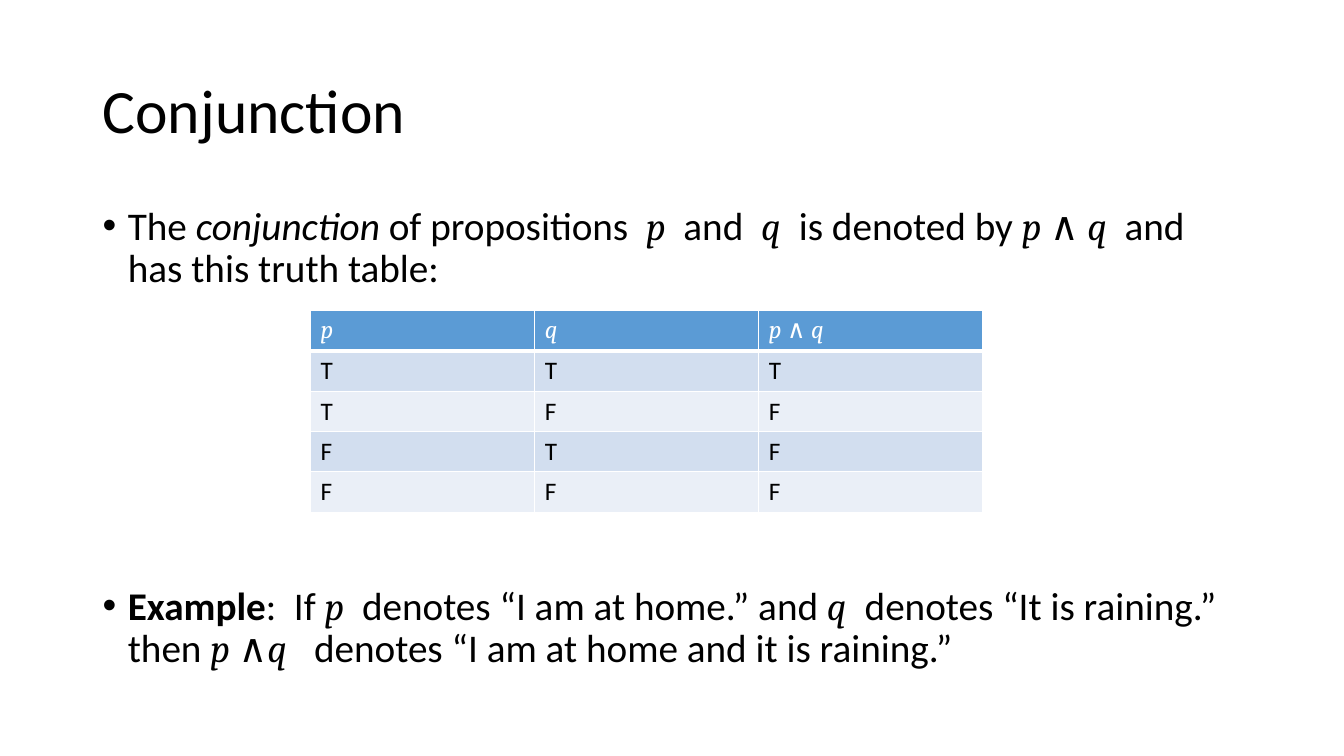
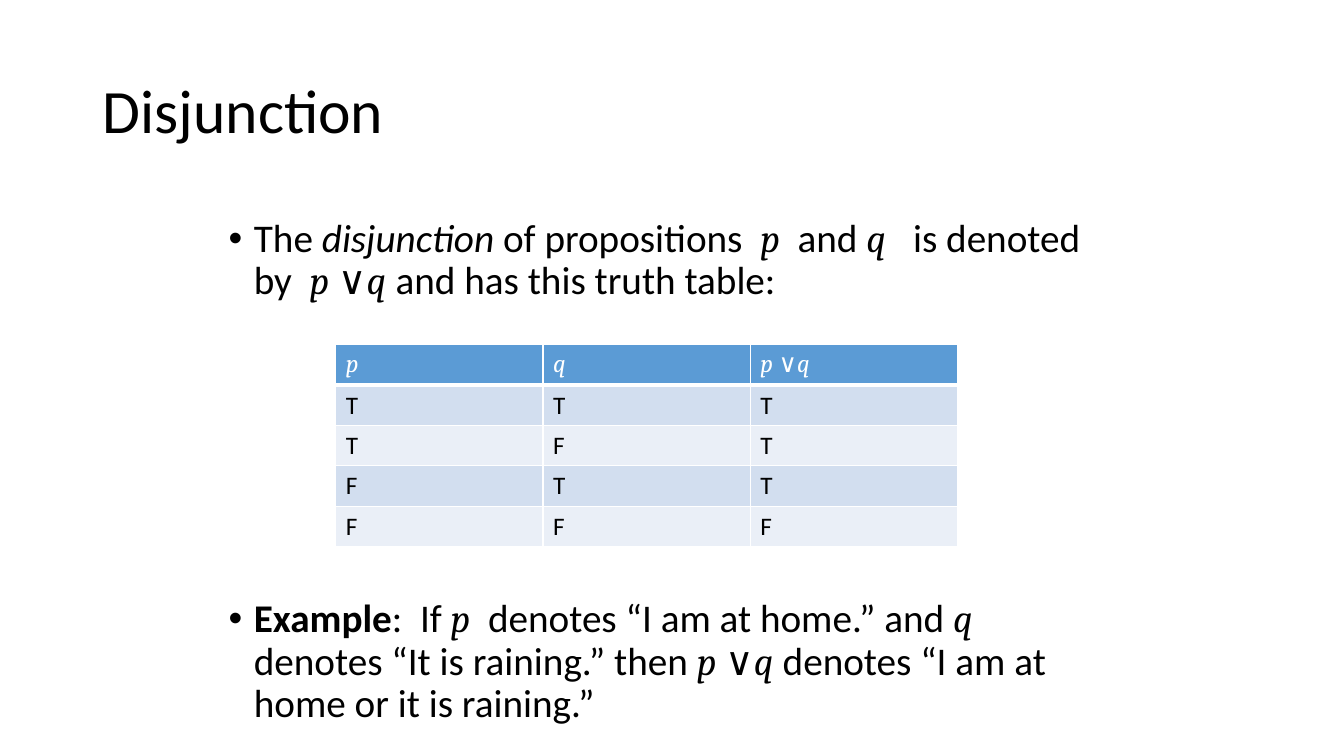
from lxml.etree import SubElement
from pptx import Presentation
from pptx.dml.color import RGBColor
from pptx.enum.text import MSO_ANCHOR
from pptx.oxml.ns import qn
from pptx.util import Inches, Pt

BLACK, WHITE = "000000", "FFFFFF"
HEADER_FILL, BAND_FILLS = "5B9BD5", ("D2DEEF", "EAEFF7")
TEXT_FONT, MATH_FONT = "Calibri", "Cambria"
TITLE_SIZE, BODY_SIZE, TABLE_SIZE = 44, 28, 18
TITLE_BOX = (0.92, 0.4, 11.5, 1.45)
ROW_HEIGHT = 0.4
EXAMPLE_GAP = 211

STYLES = {
    "plain": (TEXT_FONT, False, False),
    "emphasis": (TEXT_FONT, False, True),
    "strong": (TEXT_FONT, True, False),
    "variable": (MATH_FONT, False, True),
    "operator": (MATH_FONT, False, False),
}


def color(value):
    return RGBColor.from_string(value)


def add_runs(paragraph, runs, size, text_color=BLACK):
    for text, style in runs:
        run = paragraph.add_run()
        run.text = text
        font = run.font
        font.name, font.bold, font.italic = STYLES[style]
        font.size = Pt(size)
        font.color.rgb = color(text_color)


def add_text_frame(slide, box, anchor):
    shape = slide.shapes.add_textbox(*map(Inches, box))
    frame = shape.text_frame
    frame.word_wrap = True
    frame.vertical_anchor = anchor
    return frame


def add_title(slide, title):
    paragraph = add_text_frame(slide, TITLE_BOX, MSO_ANCHOR.MIDDLE).paragraphs[0]
    paragraph.line_spacing = 0.9
    add_runs(paragraph, [(title, "plain")], TITLE_SIZE)


def set_bullet(paragraph):
    properties = paragraph._p.get_or_add_pPr()
    properties.set("marL", str(Inches(0.25)))
    properties.set("indent", str(-Inches(0.25)))
    SubElement(properties, qn("a:buFont"), typeface="Arial")
    SubElement(properties, qn("a:buChar"), char="•")


def add_body(slide, box, definition, example):
    frame = add_text_frame(slide, box, MSO_ANCHOR.TOP)
    first, second = frame.paragraphs[0], frame.add_paragraph()
    for paragraph, runs in ((first, definition), (second, example)):
        set_bullet(paragraph)
        paragraph.line_spacing = 0.9
        add_runs(paragraph, runs, BODY_SIZE)
    second.space_before = Pt(EXAMPLE_GAP)


def set_borders(cell, top, bottom):
    properties = cell._tc.get_or_add_tcPr()
    for side, width in (("L", 1), ("R", 1), ("T", top), ("B", bottom)):
        line = SubElement(properties, qn(f"a:ln{side}"), w=str(Pt(width)))
        fill = SubElement(line, qn("a:solidFill"))
        SubElement(fill, qn("a:srgbClr"), val=WHITE)


def add_truth_table(slide, left, top, width, formula, results):
    header = [[("p", "variable")], [("q", "variable")], formula]
    inputs = ("TT", "TF", "FT", "FF")
    values = [[[(letter, "plain")] for letter in pair + result]
              for pair, result in zip(inputs, results)]
    rows = [header] + values
    table = slide.shapes.add_table(
        len(rows), len(header), Inches(left), Inches(top),
        Inches(width), Inches(ROW_HEIGHT * len(rows))).table
    table.first_row = False
    table.horz_banding = False
    for row_index, row in enumerate(rows):
        is_header = row_index == 0
        fill = HEADER_FILL if is_header else BAND_FILLS[(row_index - 1) % 2]
        for column_index, runs in enumerate(row):
            cell = table.cell(row_index, column_index)
            set_borders(cell, 3 if row_index == 1 else 1, 3 if is_header else 1)
            cell.fill.solid()
            cell.fill.fore_color.rgb = color(fill)
            add_runs(cell.text_frame.paragraphs[0], runs, TABLE_SIZE,
                     WHITE if is_header else BLACK)


def add_connective_slide(presentation, title, body_box, table_box, definition,
                         example, formula, results):
    slide = presentation.slides.add_slide(presentation.slide_layouts[6])
    add_title(slide, title)
    add_body(slide, body_box, definition, example)
    add_truth_table(slide, *table_box, formula, results)


def formula_runs(operator, ending="q"):
    return [("p ", "variable"), (operator, "operator"), (ending, "variable")]


def definition_runs(name, joiner, denoted, formula, ending):
    return [("The ", "plain"), (name, "emphasis"),
            (" of propositions  ", "plain"), ("p", "variable"),
            (joiner, "plain"), ("q", "variable"), (denoted, "plain"),
            *formula, (ending, "plain")]


def example_runs(formula, ending):
    return [("Example", "strong"), (":  If ", "plain"), ("p", "variable"),
            ("  denotes “I am at home.” and ", "plain"), ("q", "variable"),
            ("  denotes “It is raining.” then ", "plain"),
            *formula, (ending, "plain")]


def main():
    presentation = Presentation()
    presentation.slide_width = Inches(13.33)
    presentation.slide_height = Inches(7.5)
    add_connective_slide(
        presentation, "Conjunction", (0.92, 2, 11.5, 4.76), (3.08, 3.08, 6.67),
        definition_runs("conjunction", "  and  ", "  is denoted by ",
                        formula_runs("∧ ", "q  "), "and has this truth table:"),
        example_runs(formula_runs("∧"),
                     "   denotes “I am at home and it is raining.”"),
        formula_runs("∧ "), "TFFF")
    add_connective_slide(
        presentation, "Disjunction", (2.17, 2.12, 9, 5.13), (3.33, 3.42, 6.17),
        definition_runs("disjunction", "  and ", "   is denoted by  ",
                        formula_runs("∨"), " and has this truth table:"),
        example_runs(formula_runs("∨"),
                     " denotes “I am at home or it is raining.”"),
        formula_runs("∨"), "TTTF")
    presentation.save("out.pptx")


if __name__ == "__main__":
    main()
